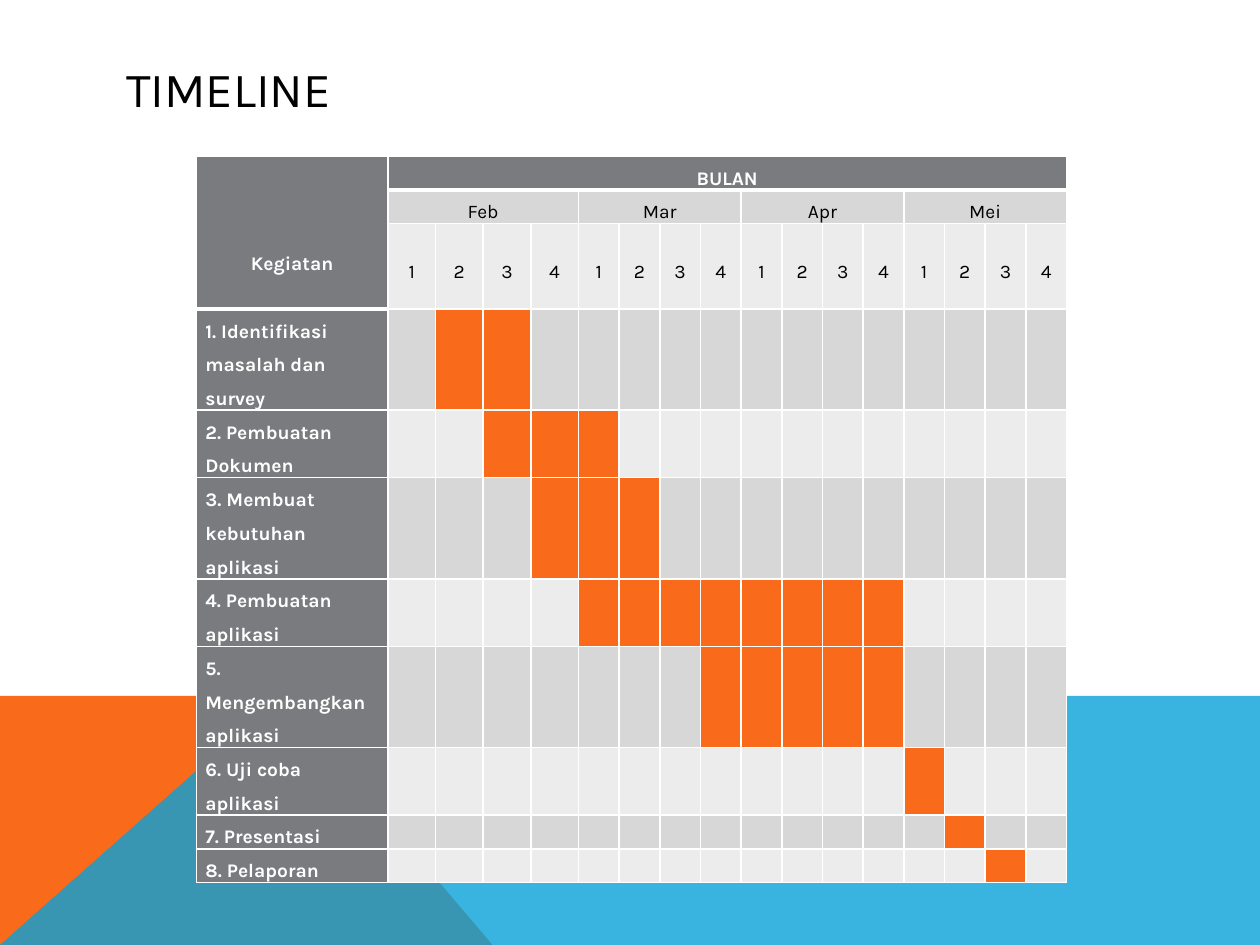
from dataclasses import dataclass

from pptx import Presentation
from pptx.dml.color import RGBColor
from pptx.enum import text
from pptx.oxml import parse_xml
from pptx.oxml.ns import nsdecls, qn
from pptx.util import Cm, Pt
from lxml import etree

# Content: task, lines of text it takes, first and last week
TITLE = "TIMELINE"
TASK_HEADING, MONTH_HEADING = "Kegiatan", "BULAN"
MONTHS = ["Feb", "Mar", "Apr", "Mei"]
WEEKS = 4
TASKS = [
    ("1. Identifikasi masalah dan survey", 3, 2, 3),
    ("2. Pembuatan Dokumen", 2, 3, 5),
    ("3. Membuat kebutuhan aplikasi", 3, 4, 6),
    ("4. Pembuatan aplikasi", 2, 5, 12),
    ("5. Mengembangkan aplikasi", 3, 8, 12),
    ("6. Uji coba aplikasi", 2, 13, 13),
    ("7. Presentasi", 1, 14, 14),
    ("8. Pelaporan", 1, 15, 15),
]


@dataclass(frozen=True)
class Theme:
    font: str = "Karla"
    title_size: int = 28
    table_size: int = 11
    black: str = "000000"
    white: str = "FFFFFF"
    heading: str = "797B7E"
    dark_band: str = "D7D7D8"
    light_band: str = "ECECEC"
    orange: str = "F96A1B"
    blue: str = "08A1D9"
    thin: int = 1
    thick: int = 3


theme = Theme()
LINE_HEIGHT = 0.68
WEEK_ROW_HEIGHT = 1.72
HEADER_ROWS = 3


def set_font(para, size, color, bold=False):
    font = para.font
    font.name, font.size, font.bold = theme.font, Pt(size), bold
    font.color.rgb = RGBColor.from_string(color)


def add_backdrop(points, color, opacity=100):
    builder = page.shapes.build_freeform(Cm(points[0][0]), Cm(points[0][1]), scale=1.0)
    builder.add_line_segments([(Cm(x), Cm(y)) for x, y in points[1:]], close=True)
    shape = builder.convert_to_shape()
    shape.shadow.inherit = False
    shape.line.fill.background()
    shape.fill.solid()
    shape.fill.fore_color.rgb = RGBColor.from_string(color)
    if opacity < 100:
        color_node = shape.element.spPr.find(qn("a:solidFill"))[0]
        etree.SubElement(color_node, qn("a:alpha"), val=str(opacity * 1000))
    title.element.addprevious(shape.element)


def set_borders(cell, top, bottom):
    properties = cell._tc.get_or_add_tcPr()
    widths = {"lnL": theme.thin, "lnR": theme.thin, "lnT": top, "lnB": bottom}
    for index, (side, width) in enumerate(widths.items()):
        properties.insert(index, parse_xml(
            f'<a:{side} {nsdecls("a")} w="{Pt(width)}"><a:solidFill>'
            f'<a:srgbClr val="{theme.white}"/></a:solidFill></a:{side}>'))


def format_cell(row, column, fill, words="", color=theme.black, bold=False,
                align=text.PP_ALIGN.CENTER, anchor=text.MSO_ANCHOR.MIDDLE):
    cell = table.cell(row, column)
    cell.fill.solid()
    cell.fill.fore_color.rgb = RGBColor.from_string(fill)
    cell.margin_left = cell.margin_right = Cm(0.18)
    cell.margin_top = cell.margin_bottom = 0
    cell.vertical_anchor = anchor
    para = cell.text_frame.paragraphs[0]
    if words:
        para.text = words
        para.alignment, para.line_spacing, para.space_after = align, 1.5, Pt(10)
    set_font(para, theme.table_size, color, bold)
    return cell


# Page and title
deck = Presentation()
deck.slide_width, deck.slide_height = Cm(25.4), Cm(19.05)
page = deck.slides.add_slide(deck.slide_layouts[5])
title = page.shapes.title
title.left, title.top, title.width, title.height = Cm(2.29), Cm(1.02), Cm(20.88), Cm(1.52)
title.text = TITLE
title.text_frame.vertical_anchor = text.MSO_ANCHOR.MIDDLE
title_para = title.text_frame.paragraphs[0]
title_para.alignment = text.PP_ALIGN.LEFT
set_font(title_para, theme.title_size, theme.black)

# Coloured bands behind the table
add_backdrop([(0, 19.05), (0, 14.03), (5.66, 14.03), (9.93, 19.05)], theme.orange)
add_backdrop([(0, 19.05), (5.66, 14.03), (25.4, 14.03), (25.4, 19.05)], theme.blue, 80)

# Table grid
week_count = len(MONTHS) * WEEKS
widths = [3.86] + [0.96] * WEEKS + [0.82] * (week_count - WEEKS)
heights = [LINE_HEIGHT, LINE_HEIGHT, WEEK_ROW_HEIGHT]
heights += [LINE_HEIGHT * lines for _, lines, _, _ in TASKS]
frame = page.shapes.add_table(len(heights), len(widths), Cm(3.96), Cm(3.15),
                              Cm(sum(widths)), Cm(sum(heights)))
table = frame.table
table.first_row = table.horz_banding = False
for column, width in zip(table.columns, widths):
    column.width = Cm(width)
for row, height in zip(table.rows, heights):
    row.height = Cm(height)

# Headings
table.cell(0, 0).merge(table.cell(HEADER_ROWS - 1, 0))
table.cell(0, 1).merge(table.cell(0, week_count))
corner = format_cell(0, 0, theme.heading, TASK_HEADING, theme.white, True)
corner.margin_top = Cm(1.03)
format_cell(0, 1, theme.heading, MONTH_HEADING, theme.white, True,
            anchor=text.MSO_ANCHOR.BOTTOM)
for index, month in enumerate(MONTHS):
    first = 1 + index * WEEKS
    table.cell(1, first).merge(table.cell(1, first + WEEKS - 1))
    format_cell(1, first, theme.dark_band, month)
    for week in range(WEEKS):
        format_cell(2, first + week, theme.light_band, str(week + 1))

# Tasks and their weeks
for row, (task, _, start, end) in enumerate(TASKS, HEADER_ROWS):
    format_cell(row, 0, theme.heading, task, theme.white, True,
                text.PP_ALIGN.LEFT, text.MSO_ANCHOR.BOTTOM)
    band = theme.light_band if row % 2 == 0 else theme.dark_band
    for week in range(1, week_count + 1):
        format_cell(row, week, theme.orange if start <= week <= end else band)

# White rules, thicker below the dark headings
for row in range(len(heights)):
    for column in range(len(widths)):
        rule_row = HEADER_ROWS if column == 0 else 1
        below_heading = row + 1 == rule_row or (row == 0 and column == 0)
        set_borders(table.cell(row, column),
                    theme.thick if row == rule_row else theme.thin,
                    theme.thick if below_heading else theme.thin)

deck.save("out.pptx")
